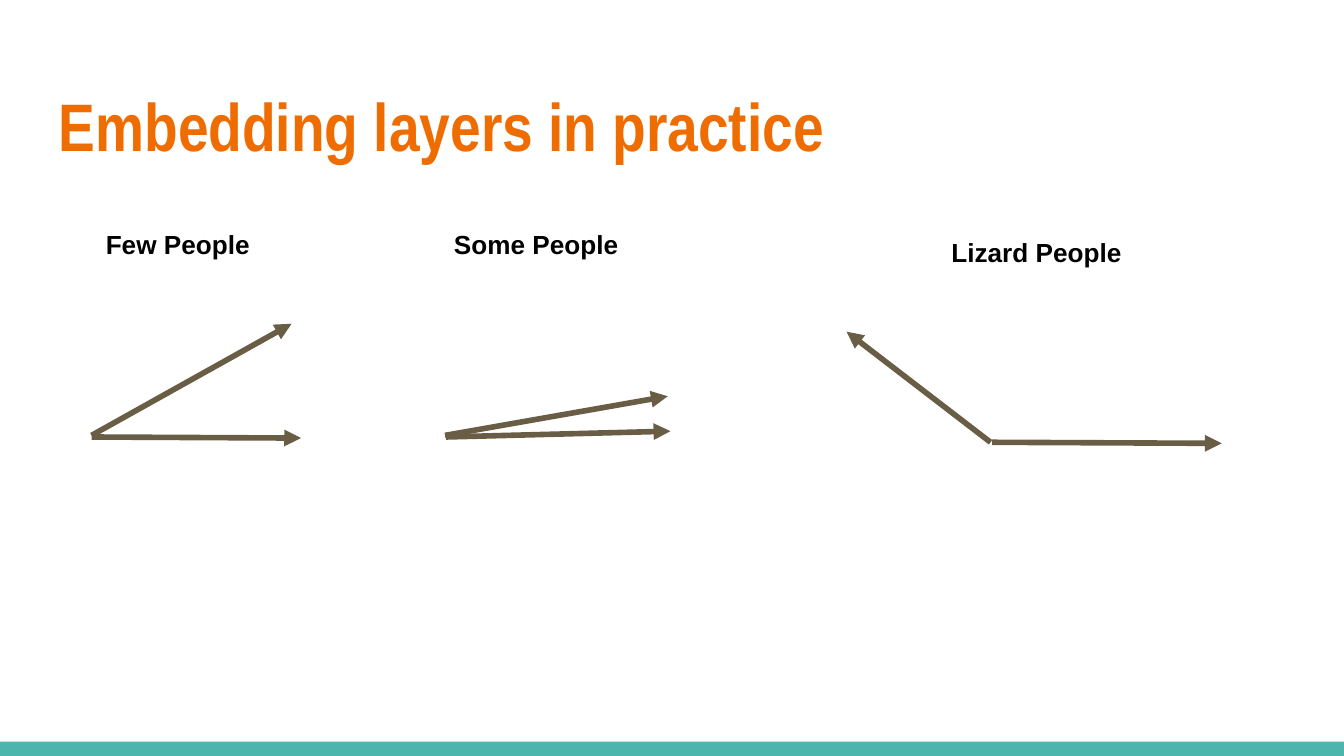
from typing import NamedTuple

from pptx import Presentation
from pptx.dml.color import RGBColor
from pptx.enum.shapes import MSO_CONNECTOR, MSO_SHAPE
from pptx.enum.text import MSO_ANCHOR, MSO_AUTO_SIZE, PP_ALIGN
from pptx.oxml.ns import qn
from pptx.util import Cm, Pt
from lxml.etree import SubElement

ORANGE = RGBColor(0xEF, 0x6C, 0x00)
TEAL = RGBColor(0x4D, 0xB6, 0xAC)
BROWN = RGBColor(0x69, 0x5D, 0x46)
BLACK = RGBColor(0, 0, 0)

WIDTH, HEIGHT = 25.4, 14.29
BAR_HEIGHT = 0.27
INSET = 0.25


class Arrow(NamedTuple):
    x1: float
    y1: float
    x2: float
    y2: float


class VectorPair(NamedTuple):
    label: str
    left: float
    top: float
    arrows: tuple[Arrow, Arrow]


# Lengths in centimetres
PAIRS = [
    VectorPair("Few People", 1.75, 4.06,
               (Arrow(1.73, 8.23, 5.51, 6.12), Arrow(1.73, 8.26, 5.69, 8.28))),
    VectorPair("Some People", 8.33, 4.06,
               (Arrow(8.41, 8.23, 12.62, 7.49), Arrow(8.43, 8.26, 12.67, 8.15))),
    VectorPair("Lizard People", 17.73, 4.22,
               (Arrow(18.72, 8.36, 16.0, 6.27), Arrow(18.75, 8.36, 23.09, 8.38))),
]


def write_text(tf, text: str, font: str, size: float, color: RGBColor,
               top_inset: float = INSET) -> None:
    tf.word_wrap = True
    tf.auto_size = MSO_AUTO_SIZE.NONE
    tf.vertical_anchor = MSO_ANCHOR.TOP
    tf.margin_left = tf.margin_right = tf.margin_bottom = Cm(INSET)
    tf.margin_top = Cm(top_inset)
    p = tf.paragraphs[0]
    p.text = text
    p.alignment = PP_ALIGN.LEFT
    p.font.name = font
    p.font.size = Pt(size)
    p.font.bold = True
    p.font.color.rgb = color


def add_arrow(s, arrow: Arrow) -> None:
    line = s.shapes.add_connector(MSO_CONNECTOR.STRAIGHT, *map(Cm, arrow))
    line.line.color.rgb = BROWN
    line.line.width = Pt(3)
    SubElement(line.line._get_or_add_ln(), qn("a:tailEnd"), type="triangle")
    SubElement(line._element.spPr, qn("a:effectLst"))


def add_pair(s, pair: VectorPair) -> None:
    for arrow in pair.arrows:
        add_arrow(s, arrow)
    box = s.shapes.add_textbox(Cm(pair.left), Cm(pair.top), Cm(4.83), Cm(1.04))
    write_text(box.text_frame, pair.label, "Arial", 14, BLACK)


def main() -> None:
    prs = Presentation()
    prs.slide_width, prs.slide_height = Cm(WIDTH), Cm(HEIGHT)
    s = prs.slides.add_slide(prs.slide_layouts[5])

    # Title
    title = s.shapes.title
    title.left, title.top = Cm(0.86), Cm(1.24)
    title.width, title.height = Cm(23.67), Cm(1.96)
    write_text(title.text_frame, "Embedding layers in practice",
               "Arial Narrow", 36, ORANGE, top_inset=0.35)

    # Bottom bar
    bar = s.shapes.add_shape(MSO_SHAPE.RECTANGLE, 0, Cm(HEIGHT - BAR_HEIGHT),
                             Cm(WIDTH), Cm(BAR_HEIGHT))
    bar.shadow.inherit = False
    bar.fill.solid()
    bar.fill.fore_color.rgb = TEAL
    bar.line.fill.background()

    # Labelled vector pairs
    for pair in PAIRS:
        add_pair(s, pair)

    prs.save("out.pptx")


if __name__ == "__main__":
    main()
